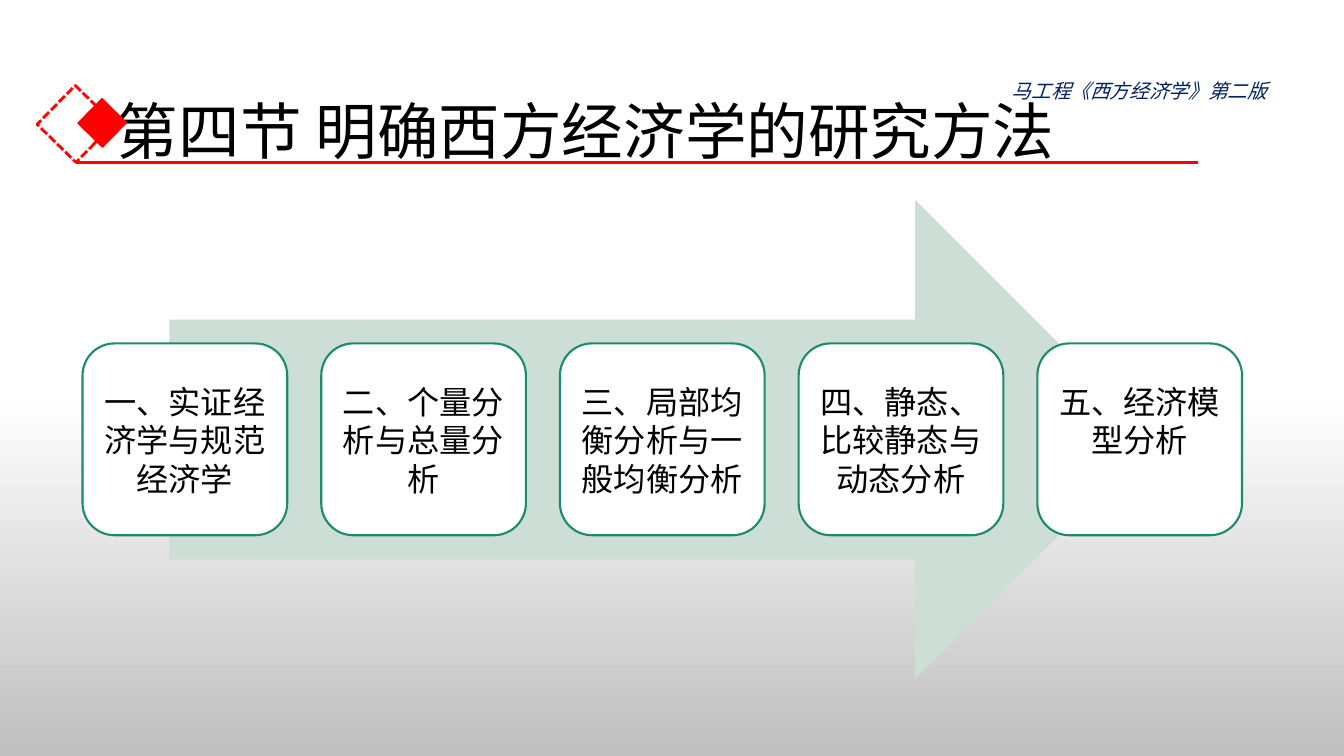
from copy import deepcopy

from pptx import Presentation
from pptx.dml.color import RGBColor
from pptx.enum.dml import MSO_LINE
from pptx.enum.shapes import MSO_CONNECTOR, MSO_SHAPE as SHAPE
from pptx.enum.text import MSO_ANCHOR, MSO_AUTO_SIZE, PP_ALIGN
from pptx.oxml.ns import qn
from pptx.util import Pt

COLORS = {name: RGBColor.from_string(value) for name, value in {
    "white": "FFFFFF", "gray": "BFBFBF", "black": "000000", "navy": "002060",
    "red": "FF0000", "sage": "CDDED6", "green": "1A8C6D"}.items()}
CJK_FONT = "Noto Sans CJK SC"


def add_figure(kind, box, fill=None, line=None, width=1):
    """Add a preset shape at box (left, top, width, height in points)."""
    figure = slide.shapes.add_shape(kind, *[Pt(v) for v in box])
    figure.shadow.inherit = False
    if fill:
        figure.fill.solid()
        figure.fill.fore_color.rgb = COLORS[fill]
    else:
        figure.fill.background()
    if line:
        figure.line.color.rgb = COLORS[line]
        figure.line.width = Pt(width)
    else:
        figure.line.fill.background()
    return figure


def style_text(paragraph, size, font_name, color):
    """Format every run, with one typeface for Latin and East Asian text."""
    for run in paragraph.runs:
        run.font.size = Pt(size)
        run.font.name = font_name
        run.font.color.rgb = COLORS[color]
        east_asian = run.font._element.makeelement(qn("a:ea"), {"typeface": font_name})
        run.font._element.find(qn("a:latin")).addnext(east_asian)


prs = Presentation()
prs.slide_width, prs.slide_height = Pt(960), Pt(540)
slide = prs.slides.add_slide(prs.slide_layouts[5])

# Background: white down to 52 %, then fading to gray
backdrop = slide.background.fill
backdrop.gradient()
backdrop.gradient_angle = 270
for stop, color in zip(backdrop.gradient_stops, ("white", "gray")):
    stop.color.rgb = COLORS[color]
first_stop = slide.background._cSld.find(".//" + qn("a:gs"))
fade_start = deepcopy(first_stop)
fade_start.set("pos", "52000")
first_stop.addnext(fade_start)

# Title and edition note
title = slide.shapes.title
title.left, title.top, title.width, title.height = Pt(76.3), Pt(44), Pt(828), Pt(104.4)
title.text_frame.text = "第四节 明确西方经济学的研究方法"
title.text_frame.auto_size = MSO_AUTO_SIZE.NONE
title.text_frame.vertical_anchor = MSO_ANCHOR.MIDDLE
heading = title.text_frame.paragraphs[0]
heading.alignment = PP_ALIGN.LEFT
heading.line_spacing = 0.9
style_text(heading, 44, CJK_FONT, "black")

edition = slide.shapes.add_textbox(Pt(715.7), Pt(52.6), Pt(233.3), Pt(24.5))
edition.text_frame.word_wrap = True
edition.text_frame.text = "马工程《西方经济学》第二版"
edition_line = edition.text_frame.paragraphs[0]
style_text(edition_line, 14, CJK_FONT, "navy")
edition_line.runs[0].font.italic = True

# Arrow with the five methods
add_figure(SHAPE.RIGHT_ARROW, (121, 142.6, 704, 342.7), "sage")
methods = ["一、实证经济学与规范经济学", "二、个量分析与总量分析",
           "三、局部均衡分析与一般均衡分析", "四、静态、比较静态与动态分析",
           "五、经济模型分析"]
for i, method in enumerate(methods):
    card = add_figure(SHAPE.ROUNDED_RECTANGLE, (59 + 170.5 * i, 245.3, 146.2, 137),
                      "white", "green", 1.5)
    frame = card.text_frame
    frame.text = method
    frame.word_wrap = True
    frame.vertical_anchor = MSO_ANCHOR.TOP
    frame.margin_left = frame.margin_right = Pt(7)
    frame.margin_top, frame.margin_bottom = Pt(21), Pt(7)
    frame.paragraphs[0].alignment = PP_ALIGN.CENTER
    style_text(frame.paragraphs[0], 23, "Calibri", "black")

# Title ornament: two diamonds and an underline
dashed_diamond = add_figure(SHAPE.RECTANGLE, (34.6, 69.1, 38.9, 38.9), None, "red", 2)
dashed_diamond.line.dash_style = MSO_LINE.SQUARE_DOT
solid_diamond = add_figure(SHAPE.RECTANGLE, (60.8, 75.6, 24.5, 24.5), "red", "red")
for diamond in (dashed_diamond, solid_diamond):
    diamond.rotation = 314.5

underline = slide.shapes.add_connector(MSO_CONNECTOR.STRAIGHT, Pt(54), Pt(115.9), Pt(855.4), Pt(115.9))
underline.line.color.rgb = COLORS["red"]
underline.line.width = Pt(2.25)
properties = underline._element.spPr
properties.append(properties.makeelement(qn("a:effectLst"), {}))

prs.save("out.pptx")
